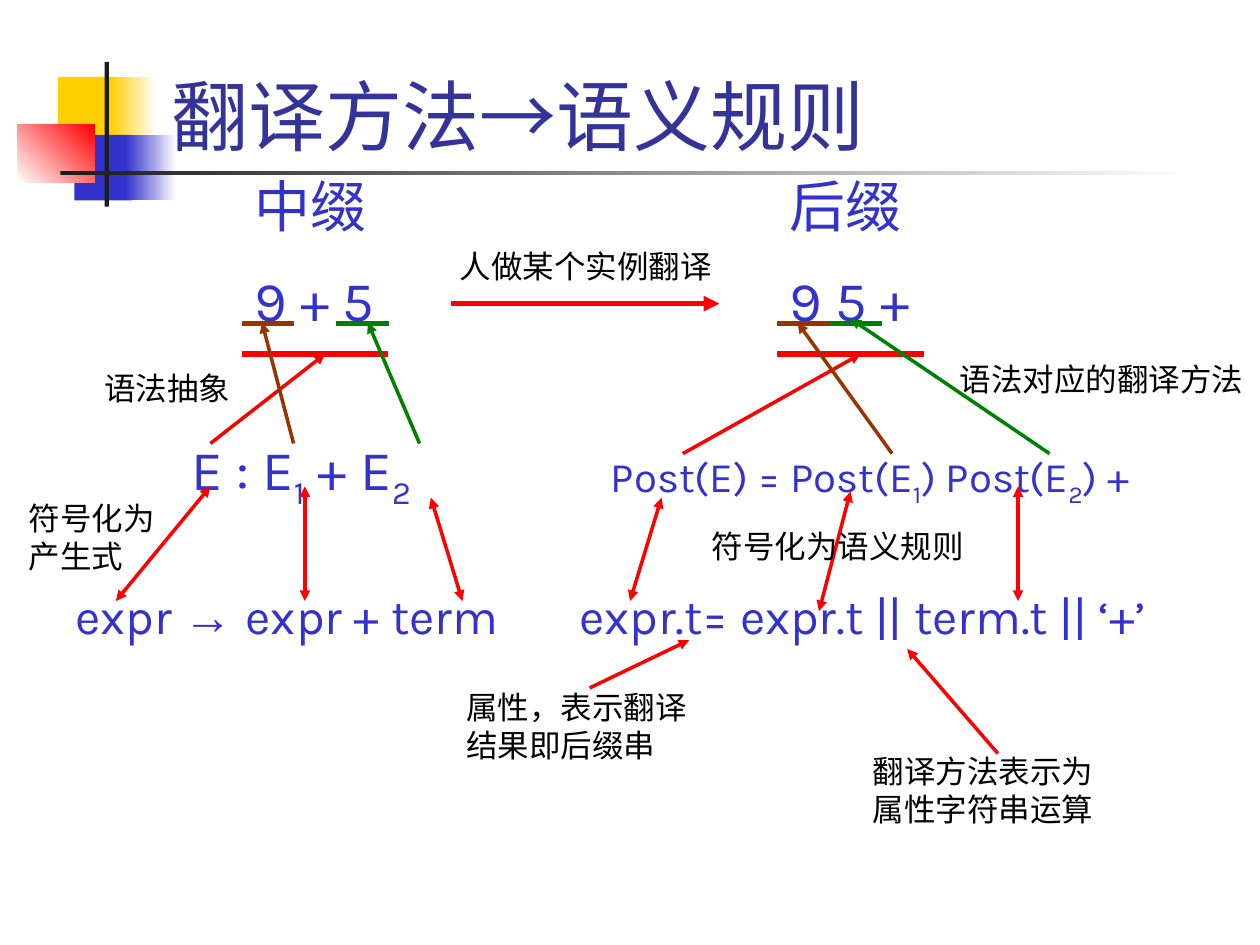
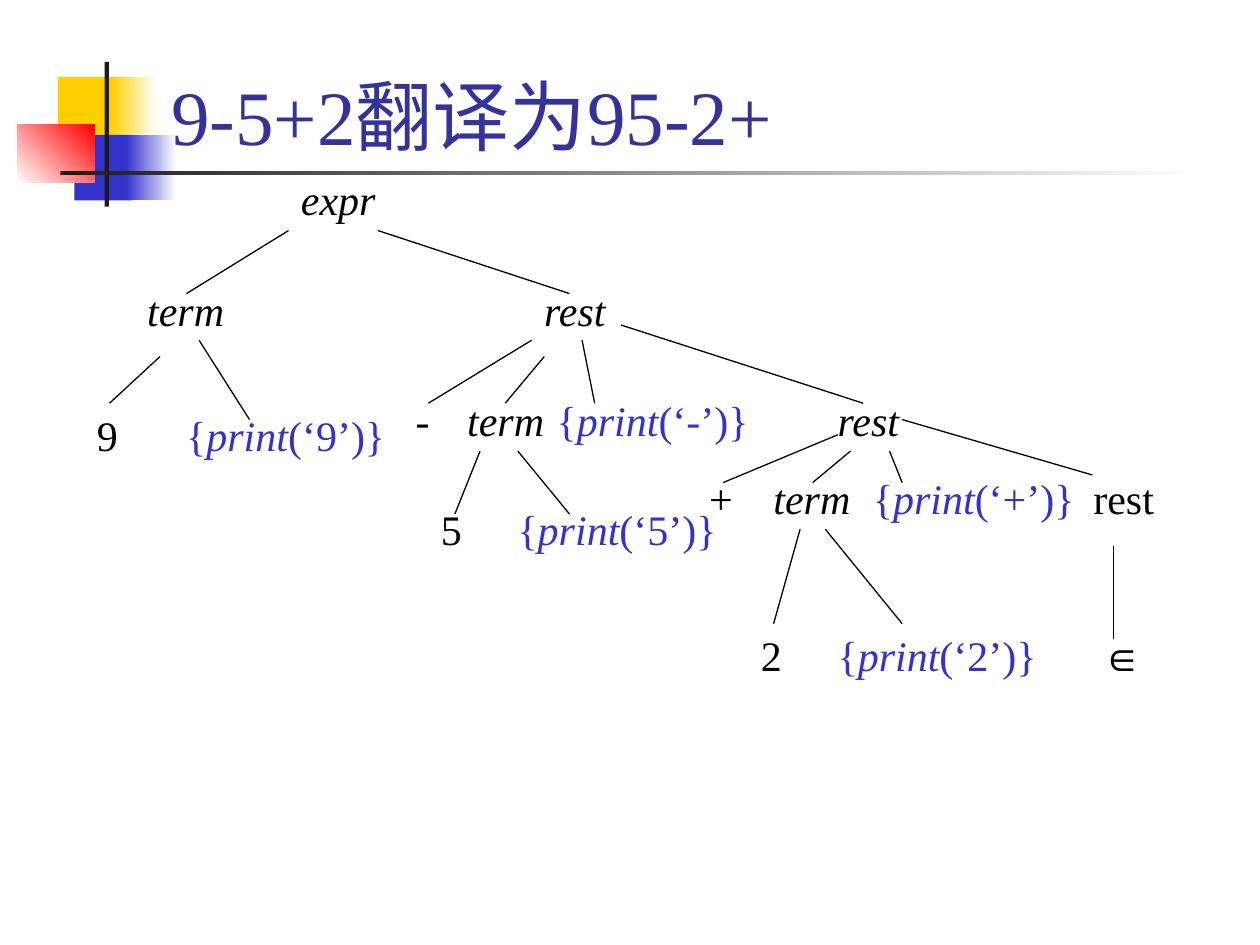
from lxml.etree import SubElement
from pptx import Presentation
from pptx.dml.color import RGBColor
from pptx.enum.shapes import MSO_CONNECTOR as Link, MSO_SHAPE as Shape
from pptx.enum.text import MSO_ANCHOR as Anchor
from pptx.oxml.ns import qn
from pptx.util import Inches, Pt

COLUMNS, ROWS = 100, 75
COLORS = {
    "title": "333399", "blue": "3333CC", "black": "000000", "white": "FFFFFF",
    "yellow": "FFCF01", "red": "FF0000", "ink": "1C1C1C",
    "brown": "993300", "green": "008000",
}
LATIN, SERIF, SYMBOL = "Karla", "Times New Roman", "Arial"


def rgb(name):
    return RGBColor.from_string(COLORS[name])


class Deck:
    """Draws on the current page, in grid columns and rows."""

    def __init__(self):
        self.deck = Presentation()
        self.deck.slide_width, self.deck.slide_height = Inches(10), Inches(7.5)
        self.page = None

    def place(self, x, y):
        return (round(self.deck.slide_width * x / COLUMNS),
                round(self.deck.slide_height * y / ROWS))

    def new_page(self, title):
        self.page = self.deck.slides.add_slide(self.deck.slide_layouts[6])
        # Coloured squares and rules beside the title
        self.block(4.6, 6.1, 4.8, 5.2, "yellow")
        self.block(8.8, 6.1, 3.6, 5.2, "yellow", "white")
        self.block(5.9, 10.7, 4.6, 5.2, "blue")
        self.block(10, 10.7, 4, 5.2, "blue", "white")
        self.block(1.4, 9.9, 6.1, 4.6, "white", "red", angle=45)
        self.block(8.3, 4.9, 0.35, 11.5, "ink")
        self.block(4.8, 13.6, 90, 0.3, "ink", "white")
        self.text(12.6, 0.8, 85.2, 12.5, title, 44, "title", SERIF, anchor=Anchor.BOTTOM)

    def block(self, x, y, width, height, color, fade_to=None, angle=0):
        box = self.page.shapes.add_shape(
            Shape.RECTANGLE, *self.place(x, y), *self.place(width, height))
        box.shadow.inherit = False
        box.line.fill.background()
        if fade_to:
            box.fill.gradient()
            box.fill.gradient_angle = angle
            for stop, name in zip(box.fill.gradient_stops, (color, fade_to)):
                stop.color.rgb = rgb(name)
        else:
            box.fill.solid()
            box.fill.fore_color.rgb = rgb(color)

    def text(self, x, y, width, height, content, size=18, color="black",
             font=LATIN, italic=False, anchor=Anchor.TOP):
        """Content is a string, or a list of strings and (string, style) pairs."""
        box = self.page.shapes.add_textbox(*self.place(x, y), *self.place(width, height))
        frame = box.text_frame
        frame.word_wrap = True
        frame.vertical_anchor = anchor
        para = frame.paragraphs[0]
        para.font.size = Pt(size)
        para.font.color.rgb = rgb(color)
        para.font.italic = italic
        if isinstance(content, str):
            para.text = content
            para.font.name = font
            return
        for part in content:
            words, style = (part, {}) if isinstance(part, str) else part
            span = para.add_run()
            span.text = words
            span.font.name = style.get("font", font)
            if style.get("italic"):
                span.font.italic = True
            if style.get("sub"):
                span.font._element.set("baseline", "-25000")

    def line(self, start, end, color="black", width=0.75, arrows=()):
        """Arrows may hold "headEnd" (at start) and "tailEnd" (at end)."""
        link = self.page.shapes.add_connector(
            Link.STRAIGHT, *self.place(*start), *self.place(*end))
        link.line.color.rgb = rgb(color)
        link.line.width = Pt(width)
        outline = link.line._ln
        for arrow in arrows:
            SubElement(outline, qn("a:" + arrow), type="triangle")
        SubElement(link._element.spPr, qn("a:effectLst"))

    def arrow(self, start, end, color="red", width=2):
        self.line(start, end, color, width, ["tailEnd"])

    def double_arrow(self, start, end):
        self.line(start, end, "red", 2, ["headEnd", "tailEnd"])


def translation_page(deck):
    deck.new_page(["翻译方法", ("→", {"font": SYMBOL}), "语义规则"])
    first, second = ("1", {"sub": True}), ("2", {"sub": True})

    # Infix and postfix samples with their underlines
    for left, heading, sample in [(19.2, "中缀", "9 + 5"), (61.7, "后缀", "9 5 +")]:
        deck.text(left, 13.1, 16.7, 6.4, heading, 32, "blue")
        deck.text(left, 20.6, 16.7, 6.4, sample, 32, "blue")
        deck.line((left, 28.1), (left + 11.6, 28.1), "red", 3)
        deck.line((left, 25.65), (left + 4.15, 25.65), "brown", 3)
    for left in (26.7, 65.85):
        deck.line((left, 25.65), (left + 4.15, 25.65), "green", 3)

    # Abstract forms and grammar forms
    deck.text(14.2, 34, 25, 7.1, ["E : E", first, " + E", second], 32, "blue")
    deck.text(47.5, 35.3, 45.8, 5.6,
              ["Post(E) = Post(E", first, ") Post(E", second, ") +"], 24, "blue")
    deck.text(5, 46, 43.3, 5.7,
              ["expr ", ("→ ", {"font": SYMBOL}), "expr + term"], 28, "blue")
    deck.text(45, 46, 53, 5.7, "expr.t= expr.t || term.t || ‘+’", 28, "blue")

    # Arrows from the abstract forms up to the samples
    for start, end, color in [
        ((16.7, 35.2), (25.8, 28.1), "red"),
        ((23.3, 35.2), (20.8, 25.6), "brown"),
        ((33.3, 35.2), (29.2, 25.6), "green"),
        ((54.2, 36), (68.3, 28.1), "red"),
        ((70.8, 36), (63.3, 25.6), "brown"),
        ((83.3, 36), (67.5, 25.3), "green"),
    ]:
        deck.arrow(start, end, color)
    deck.arrow((35.8, 24.1), (57.1, 24.1), width=3)

    # Links between abstract forms and grammar forms
    for start, end in [
        ((9.2, 47.7), (16.7, 38.6)), ((24.2, 47.7), (24.2, 38.6)),
        ((36.7, 47.7), (34.2, 39.5)), ((50, 47.7), (52.5, 39.5)),
        ((65, 48.5), (67.5, 39)), ((80.8, 47.7), (80.8, 38.6)),
    ]:
        deck.double_arrow(start, end)

    # Notes
    for x, y, width, height, note in [
        (35.5, 19.1, 22.8, 4, "人做某个实例翻译"),
        (7.3, 28.8, 13.6, 4, "语法抽象"),
        (75.2, 28.1, 24.8, 4, "语法对应的翻译方法"),
        (1.3, 39.1, 13.6, 7, "符号化为产生式"),
        (55.5, 41.3, 24.8, 4, "符号化为语义规则"),
        (36, 54.1, 19.5, 7, "属性，表示翻译\v结果即后缀串"),
        (68.3, 59.2, 21, 7, "翻译方法表示为\v属性字符串运算"),
    ]:
        deck.text(x, y, width, height, note)
    deck.arrow((46.8, 54.6), (54.7, 50.8))
    deck.arrow((79.2, 59.8), (72, 51.5))


def parse_tree_page(deck):
    deck.new_page("9-5+2翻译为95-2+")

    # Grammar symbols
    for x, y, symbol in [
        (22.9, 13.3, "expr"), (10.7, 22.1, "term"), (42.2, 22.1, "rest"),
        (36.1, 30.8, "term"), (65.5, 30.8, "rest"), (60.4, 37, "term"),
    ]:
        deck.text(x, y, 15.2, 5, symbol, 24, font=SERIF, italic=True)

    # Leaves
    for x, y, leaf in [
        (6.7, 32, "9"), (32, 30.8, "-"), (34, 39.5, "5"),
        (55.3, 37, "+"), (59.4, 49.5, "2"),
    ]:
        deck.text(x, y, 6.1, 5, leaf, 24, font=SERIF)
    deck.text(85.8, 37, 8, 5, "rest", 24, font=SERIF)
    deck.text(86.4, 49.5, 6.1, 5, "∈", 24, font=SYMBOL)

    # Semantic actions
    for x, y, printed in [
        (13.8, 32, "9"), (43.2, 30.8, "-"), (40.1, 39.5, "5"),
        (68.3, 37, "+"), (65.5, 49.5, "2"),
    ]:
        action = ["{", ("print", {"italic": True}), f"(‘{printed}’)}}"]
        deck.text(x, y, 23.3, 5, action, 24, "blue", SERIF)

    # Branches
    for start, end in [
        ((22.9, 18.3), (14.8, 23.3)), ((30, 18.3), (45.2, 23.3)),
        ((12.7, 28.3), (8.7, 32)), ((15.8, 27), (19.8, 33.3)),
        ((42.2, 27), (34, 32)), ((43.2, 28.3), (40.1, 32)),
        ((46.2, 27), (47.2, 32)), ((49.3, 25.8), (68.5, 32)),
        ((38.1, 35.8), (36.1, 40.8)), ((41.1, 35.8), (45.2, 40.8)),
        ((66.5, 34.5), (57.4, 38.3)), ((67.5, 35.8), (64.5, 38.3)),
        ((70.6, 35.8), (71.6, 38.3)), ((71.6, 33.3), (86.7, 37.7)),
        ((63.5, 42), (61.4, 49.5)), ((65.5, 42), (71.6, 49.5)),
        ((88.4, 43.3), (88.4, 50.7)),
    ]:
        deck.line(start, end)


def main():
    deck = Deck()
    translation_page(deck)
    parse_tree_page(deck)
    deck.deck.save("out.pptx")


if __name__ == "__main__":
    main()
